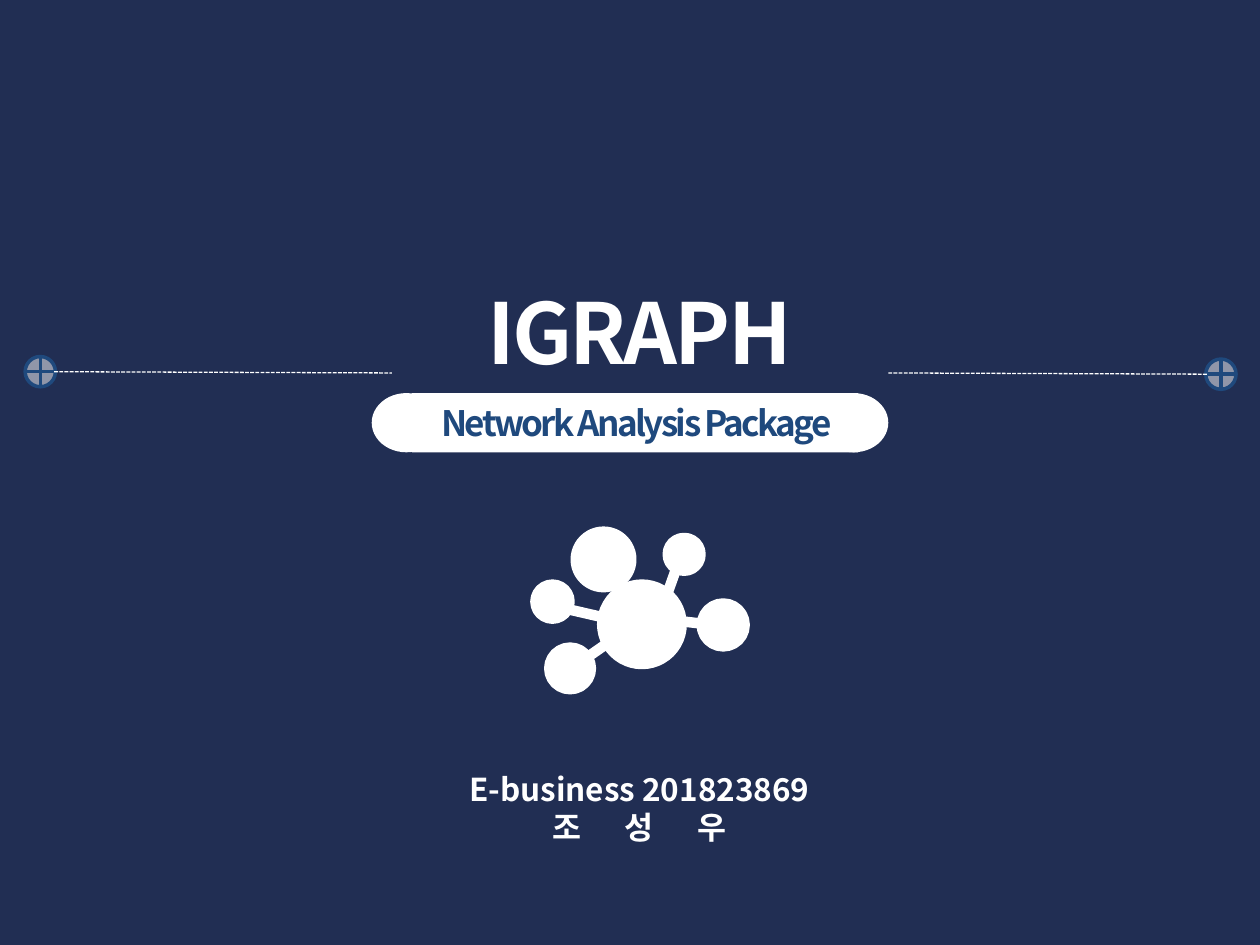
from dataclasses import dataclass

from pptx import Presentation
from pptx.dml.color import RGBColor
from pptx.enum.dml import MSO_LINE
from pptx.enum.shapes import MSO_CONNECTOR, MSO_SHAPE
from pptx.enum.text import MSO_ANCHOR, MSO_AUTO_SIZE, PP_ALIGN
from pptx.oxml.ns import qn
from pptx.util import Inches, Pt
from lxml.etree import SubElement


@dataclass(frozen=True)
class Theme:
    navy: RGBColor = RGBColor(0x21, 0x2E, 0x53)
    blue: RGBColor = RGBColor(0x1F, 0x49, 0x7D)
    white: RGBColor = RGBColor(0xFF, 0xFF, 0xFF)
    font: str = "Noto Sans CJK KR"
    title_size: int = 48
    subtitle_size: int = 20
    author_size: int = 18


theme = Theme()


def write_lines(holder, box, lines, size, color):
    """Place holder at box and fill it; each line is a list of (text, spacing in 1/100 pt)."""
    holder.left, holder.top, holder.width, holder.height = map(Inches, box)
    frame = holder.text_frame
    frame_format = {
        "word_wrap": True,
        "auto_size": MSO_AUTO_SIZE.NONE,
        "vertical_anchor": MSO_ANCHOR.TOP,
    }
    for key, value in frame_format.items():
        setattr(frame, key, value)
    font_format = {"name": theme.font, "size": Pt(size), "bold": True}
    for index, line in enumerate(lines):
        paragraph = frame.add_paragraph() if index else frame.paragraphs[0]
        paragraph.alignment = PP_ALIGN.CENTER
        paragraph.space_before = Pt(0)
        for text, spacing in line:
            run = paragraph.add_run()
            run.text = text
            for key, value in font_format.items():
                setattr(run.font, key, value)
            run.font.color.rgb = color
            properties = run._r.get_or_add_rPr()
            properties.set("spc", str(spacing))
            SubElement(properties, qn("a:ea"), typeface=theme.font)


def add_white_shape(preset, box, line_color=None, line_width=0):
    shape = slide.shapes.add_shape(preset, *map(Inches, box))
    shape.shadow.inherit = False
    shape.fill.solid()
    shape.fill.fore_color.rgb = theme.white
    if line_color is None:
        shape.line.fill.background()
    else:
        shape.line.color.rgb = line_color
        shape.line.width = Pt(line_width)
    return shape


presentation = Presentation()
presentation.slide_width, presentation.slide_height = Inches(10), Inches(7.5)
slide = presentation.slides.add_slide(presentation.slide_layouts[0])
slide.background.fill.solid()
slide.background.fill.fore_color.rgb = theme.navy

# Title and author
title, subtitle = slide.placeholders
write_lines(title, (1.69, 2.18, 6.77, 0.91), [[("IGRAPH", -150)]],
            theme.title_size, theme.white)
author = slide.shapes.add_textbox(0, 0, 0, 0)
write_lines(author, (2.32, 6.06, 5.51, 0.71),
            [[("E-business 201823869", 0)], [("조 성 ", 1050), ("우", 0)]],
            theme.author_size, theme.white)

# Half-transparent markers at the outer ends of the dashed rules
for left, top in [(0.2, 2.83), (9.57, 2.85)]:
    marker = add_white_shape(MSO_SHAPE.FLOWCHART_OR, (left, top, 0.24, 0.24), theme.blue, 2)
    marker_color = marker.fill._xPr.find(qn("a:solidFill"))[0]
    SubElement(marker_color, qn("a:alpha"), val="50000")

# Dashed rules beside the title, and bonds of the network
rules = [(0.43, 2.95, 3.11, 2.96), (7.05, 2.96, 9.58, 2.97)]
bonds = [
    (5.22, 4.91, 5.75, 4.97),
    (5.25, 4.84, 5.39, 4.45),
    (4.82, 4.53, 5.05, 4.94),
    (4.31, 4.79, 5.05, 4.96),
    (4.57, 5.28, 5.03, 4.96),
]
for ends, width, dash in [(rules, 0.75, MSO_LINE.SQUARE_DOT), (bonds, 6, MSO_LINE.SOLID)]:
    for end_points in ends:
        link = slide.shapes.add_connector(MSO_CONNECTOR.STRAIGHT, *map(Inches, end_points))
        link.line.color.rgb = theme.white
        link.line.width = Pt(width)
        link.line.dash_style = dash
        SubElement(link._element.spPr, qn("a:effectLst"))

# Pill behind the subtitle
add_white_shape(MSO_SHAPE.RECTANGLE, (3.27, 3.12, 3.54, 0.47))
for cap_left in (6.5, 2.95):
    add_white_shape(MSO_SHAPE.OVAL, (cap_left, 3.12, 0.55, 0.47))
write_lines(subtitle, (3.16, 3.14, 3.78, 0.44), [[("Network Analysis Package", -150)]],
            theme.subtitle_size, theme.blue)
slide.shapes._spTree.append(subtitle._element)  # bring in front of the pill

# Network nodes: left, top, diameter
nodes = [
    (4.25, 4.64, 0.27),
    (4.36, 5.14, 0.33),
    (4.57, 4.22, 0.44),
    (5.3, 4.27, 0.26),
    (5.57, 4.79, 0.34),
    (4.78, 4.64, 0.63),
]
for left, top, diameter in nodes:
    add_white_shape(MSO_SHAPE.OVAL, (left, top, diameter, diameter), theme.white, 6)

presentation.save("out.pptx")
